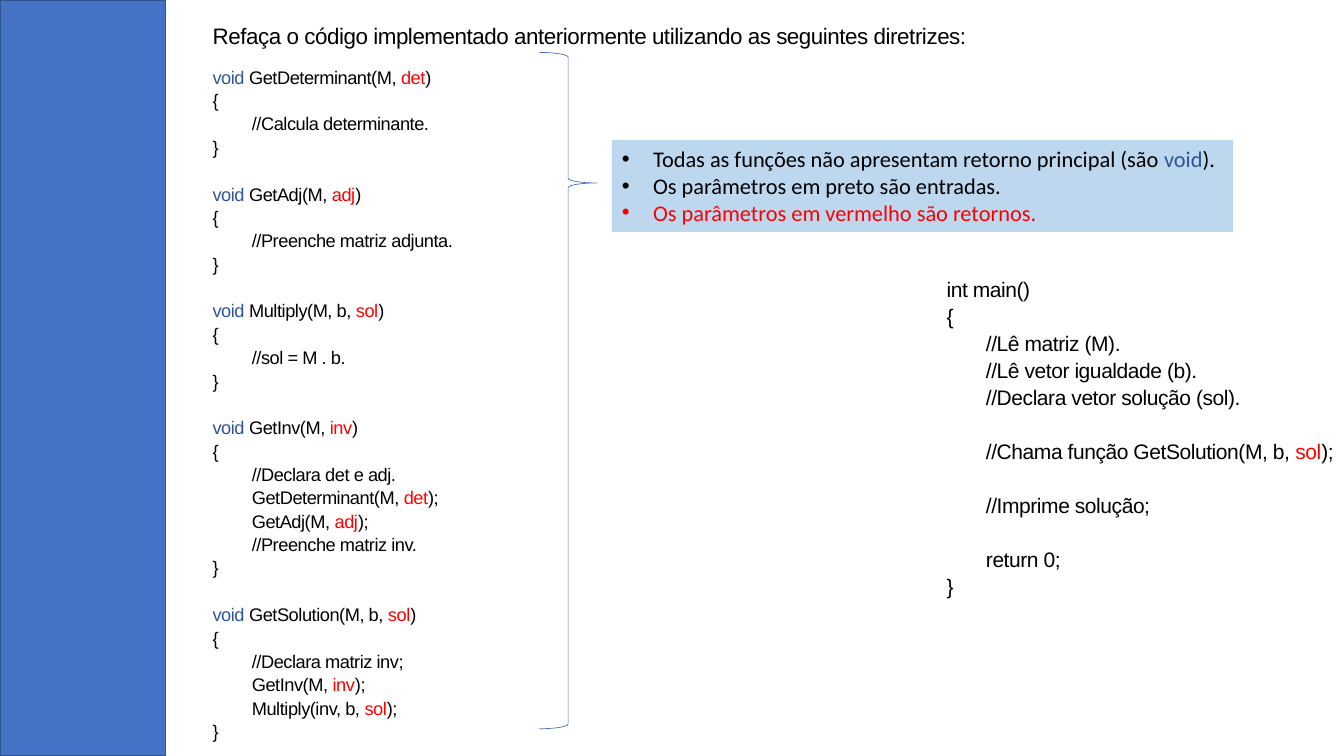
import lxml.etree
import pptx
import pptx.dml.color
import pptx.enum.shapes
import pptx.enum.text
import pptx.oxml.ns
import pptx.util

Inches = pptx.util.Inches
Pt = pptx.util.Pt
SHAPE = pptx.enum.shapes.MSO_SHAPE
ALIGN = pptx.enum.text.PP_ALIGN

COLOURS = {
    "black": "000000",
    "keyword": "2F5597",
    "output": "FF0000",
    "sidebar": "4472C4",
    "sidebar edge": "325491",
    "panel": "BDD7EE",
}

FUNCTIONS = [
    ("GetDeterminant(M, |det|)", ["//Calcula determinante."]),
    ("GetAdj(M, |adj|)", ["//Preenche matriz adjunta."]),
    ("Multiply(M, b, |sol|)", ["//sol = M . b."]),
    ("GetInv(M, |inv|)", ["//Declara det e adj.", "GetDeterminant(M, |det|);",
                          "GetAdj(M, |adj|);", "//Preenche matriz inv."]),
    ("GetSolution(M, b, |sol|)", ["//Declara matriz inv;", "GetInv(M, |inv|);",
                                  "Multiply(inv, b, |sol|);"]),
]
MAIN_GROUPS = [
    ["//Lê matriz (M).", "//Lê vetor igualdade (b).", "//Declara vetor solução (sol)."],
    ["//Chama função GetSolution(M, b, |sol|);"],
    ["//Imprime solução;"],
    ["return 0;"],
]
RULES = [
    "Todas as funções não apresentam retorno principal (são |void|).",
    "Os parâmetros em preto são entradas.",
    "|Os parâmetros em vermelho são retornos.|",
]


def rgb(name):
    return pptx.dml.color.RGBColor.from_string(COLOURS[name])


def write(paragraph, text, size, font="Arial", align=ALIGN.JUSTIFY, line_spacing=1.07,
          tracking=-30, before=0, indent=0, hanging=0, bullet=None):
    """Fill a paragraph; parts between bars are coloured as keyword or output."""
    paragraph.alignment = align
    paragraph.line_spacing = line_spacing
    paragraph.space_before = Pt(before)
    properties = paragraph._p.get_or_add_pPr()
    properties.set("marL", str(Inches(indent)))
    properties.set("indent", str(-Inches(hanging)))
    if bullet:
        for tag, key, value in (("a:buFont", "typeface", "Arial"), ("a:buChar", "char", bullet)):
            mark = lxml.etree.SubElement(properties, pptx.oxml.ns.qn(tag))
            mark.set(key, value)
    for index, part in enumerate(text.split("|")):
        if not part:
            continue
        run = paragraph.add_run()
        run.text = part
        run.font.size = Pt(size)
        run.font.name = font
        marked = "keyword" if part == "void" else "output"
        run.font.color.rgb = rgb(marked if index % 2 else "black")
        if tracking:
            run._r.get_or_add_rPr().set("spc", str(tracking))


class Page:
    def __init__(self, deck):
        self.slide = deck.slides.add_slide(deck.slide_layouts[5])

    def title(self, text, left, top, width, height):
        heading = self.slide.shapes.title
        heading.left, heading.top = Inches(left), Inches(top)
        heading.width, heading.height = Inches(width), Inches(height)
        self.fill_frame(heading.text_frame, [(text, {})], size=16)

    def shape(self, kind, left, top, width, height, fill=None, line=None, weight=1):
        shape = self.slide.shapes.add_shape(
            kind, Inches(left), Inches(top), Inches(width), Inches(height))
        shape.shadow.inherit = False
        if fill:
            shape.fill.solid()
            shape.fill.fore_color.rgb = rgb(fill)
        else:
            shape.fill.background()
        if line:
            shape.line.color.rgb = rgb(line)
            shape.line.width = Pt(weight)
        else:
            shape.line.fill.background()
        return shape

    def code(self, lines, left, top, width, height, size, wrap=True):
        box = self.slide.shapes.add_textbox(
            Inches(left), Inches(top), Inches(width), Inches(height))
        self.fill_frame(box.text_frame, lines, wrap, size=size)

    def fill_frame(self, frame, lines, wrap=True, **style):
        """Write (text, format) pairs as paragraphs sharing one style."""
        frame.word_wrap = wrap
        frame.auto_size = pptx.enum.text.MSO_AUTO_SIZE.SHAPE_TO_FIT_TEXT
        frame.vertical_anchor = pptx.enum.text.MSO_ANCHOR.TOP
        for index, (text, extra) in enumerate(lines):
            paragraph = frame.add_paragraph() if index else frame.paragraphs[0]
            write(paragraph, text, **style, **extra)


def function_lines(signature, groups, gap, before=0):
    """List a function's lines, with a gap ahead of each later group in its body."""
    lines = [(signature, {"before": before}), ("{", {})]
    for number, group in enumerate(groups):
        for row, text in enumerate(group):
            lines.append((text, {"indent": 0.39, "before": gap if number and not row else 0}))
    return lines + [("}", {})]


def main():
    deck = pptx.Presentation()
    deck.slide_width, deck.slide_height = Inches(13.33), Inches(7.5)
    page = Page(deck)
    page.title("Refaça o código implementado anteriormente utilizando as seguintes diretrizes:",
               2.01, 0.15, 8.73, 0.37)
    page.shape(SHAPE.RECTANGLE, 0, 0, 1.64, 7.5, fill="sidebar", line="sidebar edge")

    listing = []
    for signature, body in FUNCTIONS:
        listing += function_lines("|void| " + signature, [body], 0, before=16.7 if listing else 0)
    page.code(listing, 2.01, 0.59, 3.54, 6.87, size=13)
    page.code(function_lines("int main()", MAIN_GROUPS, 19.3),
              9.29, 2.68, 4.08, 3.32, size=15, wrap=False)

    panel = page.shape(SHAPE.RECTANGLE, 6.07, 1.39, 6.16, 0.91, fill="panel")
    page.fill_frame(panel.text_frame, [(rule, {}) for rule in RULES], False, size=16,
                    font="Calibri", align=ALIGN.LEFT, line_spacing=1, tracking=0,
                    indent=0.31, hanging=0.31, bullet="•")

    brace = page.shape(SHAPE.RIGHT_BRACE, 5.35, 0.52, 0.57, 6.71, line="sidebar", weight=0.5)
    brace.adjustments[0], brace.adjustments[1] = 0.083, 0.193
    deck.save("out.pptx")


if __name__ == "__main__":
    main()
